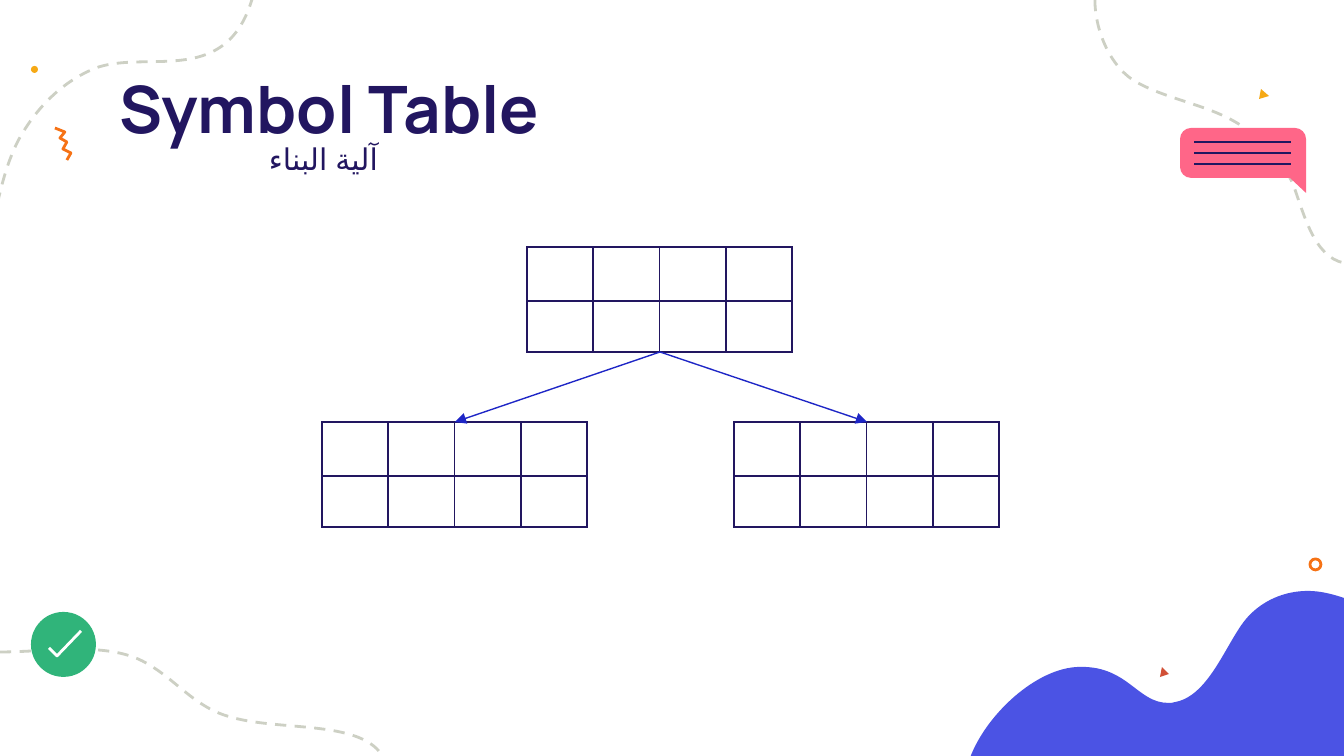
"""Build the Symbol Table slide: three linked grids among decorative outlines."""
from lxml.etree import Element, SubElement
from pptx import Presentation
from pptx.dml.color import RGBColor
from pptx.enum.dml import MSO_LINE
from pptx.enum.lang import MSO_LANGUAGE_ID as LANG
from pptx.enum.shapes import MSO_CONNECTOR, MSO_SHAPE
from pptx.enum.text import MSO_ANCHOR, MSO_AUTO_SIZE, PP_ALIGN
from pptx.oxml import parse_xml
from pptx.oxml.ns import nsdecls, qn
from pptx.util import Pt

SCALE = 914400 / 134.4
NAVY, GREY, ORANGE, AMBER = "221660", "CDD0C4", "F67215", "F6A915"
rgb = RGBColor.from_string


def px(*values):
    """Turn pixels into EMU."""
    return [round(v * SCALE) for v in values]


def write(sp, text, box, font, size, bold=False, align=PP_ALIGN.LEFT, anchor=MSO_ANCHOR.TOP,
          lang=LANG.ENGLISH_US):
    """Place a placeholder and fill it with formatted text."""
    sp.left, sp.top, sp.width, sp.height = px(*box)
    tf = sp.text_frame
    tf.auto_size, tf.word_wrap, tf.vertical_anchor = MSO_AUTO_SIZE.NONE, True, anchor
    tf.margin_left, tf.margin_top, tf.margin_right, tf.margin_bottom = px(13, 13, 13, 13)
    p = tf.paragraphs[0]
    p.alignment, p.space_before = align, Pt(0)
    r = p.add_run()
    r.text = text
    r.font.name, r.font.size, r.font.bold = font, Pt(size), bold
    r.font.color.rgb, r.font.language_id = rgb(NAVY), lang
    SubElement(r.font._element, qn("a:cs")).set("typeface", font)


prs = Presentation()
prs.slide_width, prs.slide_height = px(1344, 756)
slide = prs.slides.add_slide(prs.slide_layouts[0])
shapes = slide.shapes

# Each outline: points (2 numbers: line, 6: Bezier curve, a lone 4: oval box), fill, line, dashed
outlines = [
    ([(1308, 591), (1284, 591, 1262, 601, 1247, 618), (1227, 641, 1210, 695, 1176, 702),
      (1173, 703, 1171, 703, 1168, 703), (1138, 703, 1128, 667, 1082, 667),
      (1081, 667, 1080, 667, 1079, 667), (1036, 668, 986, 715, 970, 758),
      (1344, 758), (1344, 598), (1332, 594, 1320, 591, 1308, 591)], "4B53E4", None, False),
    ([(253, -4), (228, 87, 151, 51, 99, 67), (71, 77, 43, 99, 22, 134),
      (8, 157, -1, 192, -7, 227)], None, GREY, True),
    ([(1095, 0), (1095, 31, 1111, 69, 1138, 83), (1173, 102, 1218, 106, 1250, 132),
      (1268, 145, 1284, 164, 1293, 184), (1304, 214, 1314, 257, 1344, 263)], None, GREY, True),
    ([(31, 66, 7, 7)], AMBER, None, False),
    ([(55, 128), (65, 132), (60, 138), (67, 142), (63, 149), (71, 153), (67, 160)],
     None, ORANGE, False),
    ([(0, 652), (50, 652, 108, 641, 146, 663), (175, 679, 194, 706, 227, 716),
      (277, 732, 358, 719, 382, 755)], None, GREY, True),
    ([(1261, 89), (1259, 99), (1269, 96)], AMBER, None, False),
    ([(1162, 667), (1160, 677), (1169, 674)], "D15036", None, False),
    ([(1310, 559, 11, 11)], None, ORANGE, False),
    ([(1191, 128), (1185, 128, 1180, 133, 1180, 139), (1180, 167),
      (1180, 173, 1185, 178, 1191, 178), (1290, 178), (1306, 193), (1306, 139),
      (1306, 133, 1301, 128, 1295, 128)], "FF6688", None, False),
    ([(31, 612, 65, 65)], "30B47A", None, False),
    ([(49, 648), (57, 656), (81, 631)], None, "FFFFFF", False),
]
for points, fill, line, dashed in outlines:
    if len(points) == 1:
        sp = shapes.add_shape(MSO_SHAPE.OVAL, *px(*points[0]))
    else:
        fb = shapes.build_freeform(*px(*points[0]))
        fb.add_line_segments([px(*pt[-2:]) for pt in points[1:]], close=bool(fill))
        sp = fb.convert_to_shape()
        for seg, pt in zip(list(sp._element.iter(qn("a:lnTo"))), points[1:]):
            if len(pt) == 6:
                x1, y1, x2, y2 = px(*pt[:4])
                seg.tag = qn("a:cubicBezTo")
                for i, (x, y) in enumerate(((x1, y1), (x2, y2))):
                    seg.insert(i, Element(qn("a:pt"), x=str(x - sp.left), y=str(y - sp.top)))
    sp.shadow.inherit = False
    if fill:
        sp.fill.solid()
        sp.fill.fore_color.rgb = rgb(fill)
    else:
        sp.fill.background()
    if line:
        sp.line.color.rgb, sp.line.width = rgb(line), Pt(1.5)
        if dashed:
            sp.line.dash_style = MSO_LINE.DASH
    else:
        sp.line.fill.background()

write(slide.placeholders[1], "آلية البناء", (163, 128, 321, 71), "Arial", 16,
      align=PP_ALIGN.CENTER, lang=LANG.ARABIC)
write(shapes.title, "Symbol Table", (106, 65, 1133, 85), "Manrope", 35, bold=True,
      anchor=MSO_ANCHOR.MIDDLE)

for left, top in ((527, 247), (734, 422), (322, 422)):
    table = shapes.add_table(2, 4, *px(left, top, 265, 105)).table
    table.first_row = table.horz_banding = False
    for col in table.columns:
        col.width = px(265)[0] // 4
    for row, height in zip(table.rows, px(54, 51)):
        row.height = height
    for cell in table.iter_cells():
        cell.margin_top = cell.margin_bottom = 0
        for side in "LRTB":
            cell._tc.get_or_add_tcPr().append(parse_xml(
                f'<a:ln{side} {nsdecls("a")} w="12700"><a:solidFill>'
                f'<a:srgbClr val="{NAVY}"/></a:solidFill></a:ln{side}>'))
        cell.fill.background()

bubble_lines = [((1291, y), (1194, y), NAVY, 1.5, False) for y in (142, 153, 164)]
arrows = [((660, 352), (x, 422), "1E26C6", 0.75, True) for x in (867, 455)]
for start, end, color, width, arrow in bubble_lines + arrows:
    cn = shapes.add_connector(MSO_CONNECTOR.STRAIGHT, *px(*start, *end))
    cn.line.color.rgb, cn.line.width = rgb(color), Pt(width)
    if arrow:
        SubElement(cn.line._get_or_add_ln(), qn("a:tailEnd")).set("type", "triangle")
    SubElement(cn._element.spPr, qn("a:effectLst"))

prs.save("out.pptx")
